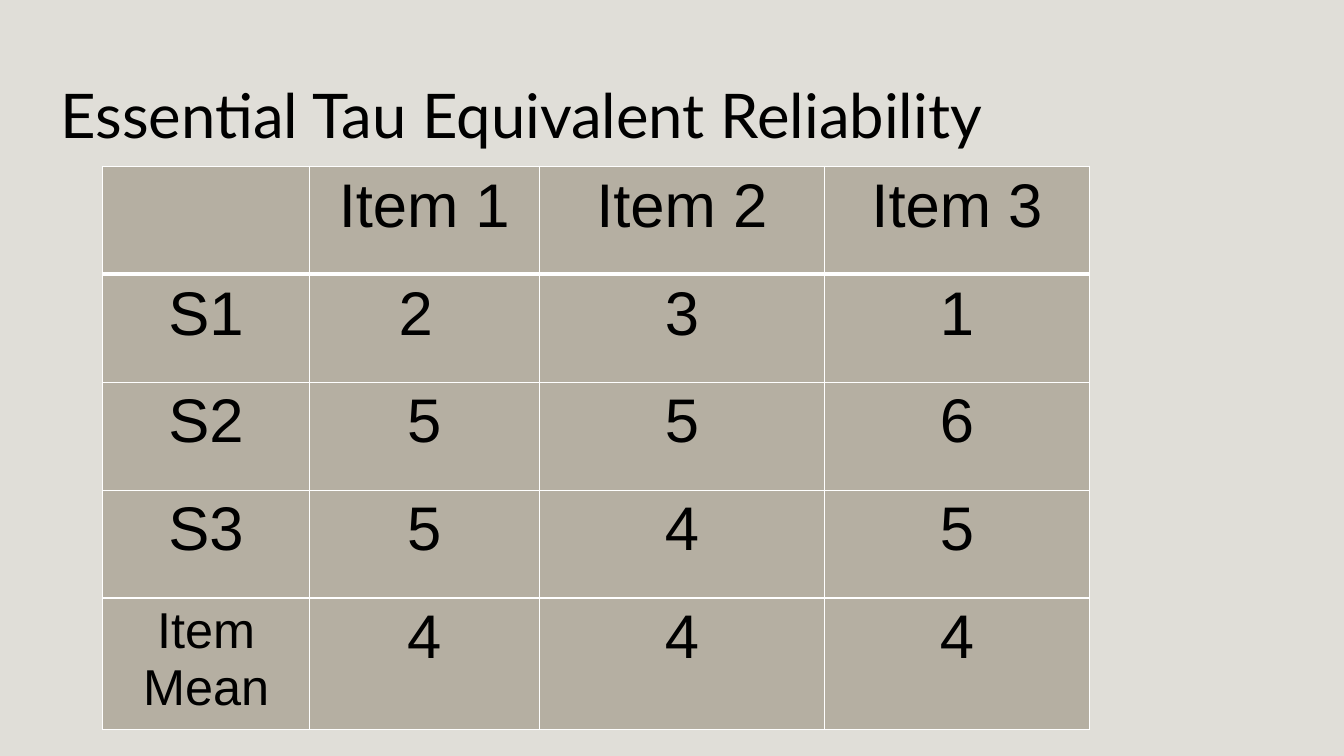
"""Build the slide on essential tau equivalent reliability."""
from lxml.etree import SubElement
from pptx import Presentation
from pptx.dml.color import RGBColor
from pptx.enum.shapes import MSO_SHAPE
from pptx.enum.text import MSO_ANCHOR, PP_ALIGN
from pptx.oxml.ns import qn
from pptx.util import Cm, Pt

COLORS = {"backdrop": "D4D0C8", "cell": "B5AFA2", "border": "FFFFFF", "text": "000000"}
ROWS = [
    ["", "Item 1", "Item 2", "Item 3"],
    ["S1", "2 ", "3", "1"],
    ["S2", "5", "5", "6"],
    ["S3", "5", "4", "5"],
    ["Item Mean", "4", "4", "4"],
]
COLUMN_WIDTHS = [5.21, 5.79, 7.19, 6.68]
ROW_HEIGHTS = [2.72, 2.72, 2.72, 2.72, 2.92]


def format_text(paragraph, font_name, size):
    for run in paragraph.runs:
        run.font.name = font_name
        run.font.size = Pt(size)
        run.font.bold = False
        run.font.color.rgb = RGBColor.from_string(COLORS["text"])


def add_border(cell, side, width):
    line = SubElement(cell._tc.get_or_add_tcPr(), qn(f"a:ln{side}"), w=str(Pt(width)))
    fill = SubElement(line, qn("a:solidFill"))
    SubElement(fill, qn("a:srgbClr"), val=COLORS["border"])


presentation = Presentation()
presentation.slide_width = Cm(33.87)
presentation.slide_height = Cm(19.05)
slide = presentation.slides.add_slide(presentation.slide_layouts[6])

backdrop = slide.shapes.add_shape(
    MSO_SHAPE.RECTANGLE, 0, 0, presentation.slide_width, presentation.slide_height
)
backdrop.shadow.inherit = False
backdrop.line.fill.background()
backdrop.fill.solid()
backdrop.fill.fore_color.rgb = RGBColor.from_string(COLORS["backdrop"])
backdrop_color = backdrop._element.spPr.find(qn("a:solidFill")).find(qn("a:srgbClr"))
SubElement(backdrop_color, qn("a:alpha"), val="70000")

title = slide.shapes.add_textbox(Cm(1.27), Cm(1.02), Cm(30.28), Cm(3.68))
title.text_frame.word_wrap = True
title.text_frame.vertical_anchor = MSO_ANCHOR.MIDDLE
title.text_frame.text = "Essential Tau Equivalent Reliability"
format_text(title.text_frame.paragraphs[0], "Lato", 44)

table = slide.shapes.add_table(
    len(ROWS), len(COLUMN_WIDTHS), Cm(2.59), Cm(4.19),
    Cm(sum(COLUMN_WIDTHS)), Cm(sum(ROW_HEIGHTS)),
).table
for column, width in zip(table.columns, COLUMN_WIDTHS):
    column.width = Cm(width)
for row, height in zip(table.rows, ROW_HEIGHTS):
    row.height = Cm(height)

for row_index, labels in enumerate(ROWS):
    for column_index, label in enumerate(labels):
        cell = table.cell(row_index, column_index)
        cell.text_frame.text = label
        paragraph = cell.text_frame.paragraphs[0]
        paragraph.alignment = PP_ALIGN.CENTER
        format_text(paragraph, "Arial", 36 if label == "Item Mean" else 44)
        add_border(cell, "L", 1)
        add_border(cell, "R", 1)
        add_border(cell, "T", 3 if row_index == 1 else 1)
        add_border(cell, "B", 3 if row_index == 0 else 1)
        cell.fill.solid()
        cell.fill.fore_color.rgb = RGBColor.from_string(COLORS["cell"])

presentation.save("out.pptx")
